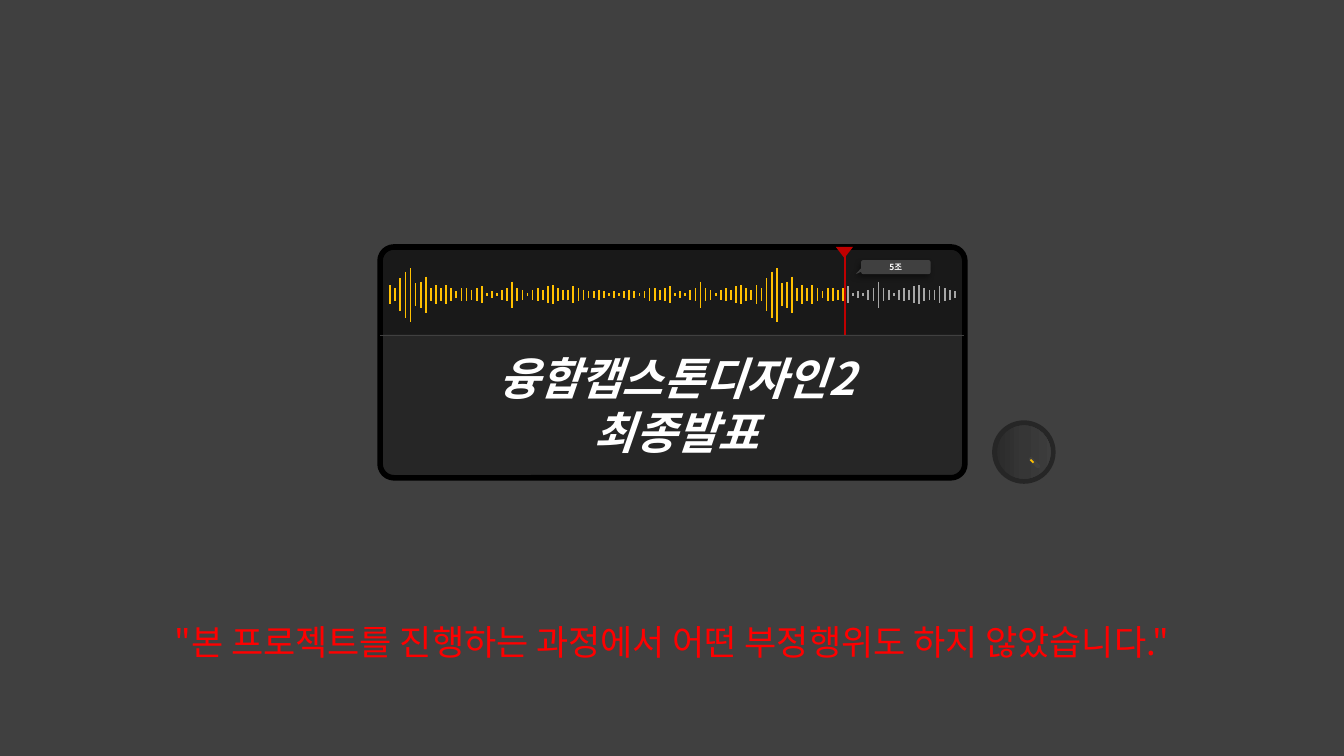
from lxml import etree
from pptx import Presentation
from pptx.dml.color import RGBColor
from pptx.enum.shapes import MSO_CONNECTOR, MSO_SHAPE
from pptx.enum.text import MSO_ANCHOR, PP_ALIGN
from pptx.oxml import parse_xml
from pptx.oxml.ns import qn
from pptx.util import Inches, Pt

STRAIGHT = MSO_CONNECTOR.STRAIGHT
ROUNDED = MSO_SHAPE.ROUNDED_RECTANGLE
ROUNDED_TOP = MSO_SHAPE.ROUND_2_SAME_RECTANGLE
TRIANGLE = MSO_SHAPE.ISOSCELES_TRIANGLE
CALLOUT = MSO_SHAPE.ROUNDED_RECTANGULAR_CALLOUT
OVAL = MSO_SHAPE.OVAL
CENTER = PP_ALIGN.CENTER
MIDDLE = MSO_ANCHOR.MIDDLE

FONT = "Noto Sans CJK KR"
COLORS = {
    "gray": "404040", "panel": "262626", "knob": "363636", "black": "000000",
    "played": "FFC000", "unplayed": "A6A6A6", "marker": "C00000",
    "white": "FFFFFF", "red": "FF0000",
}
DRAWING = 'xmlns:a="http://schemas.openxmlformats.org/drawingml/2006/main"'


def add_line(shapes, start, end, color, width=1.25):
    line = shapes.add_connector(STRAIGHT, *[Inches(v) for v in (*start, *end)])
    line.line.color.rgb = RGBColor.from_string(COLORS[color])
    line.line.width = Pt(width)
    etree.SubElement(line._element.spPr, qn("a:effectLst"))


def add_filled(shapes, kind, box, color, adjustments=(), rotation=0):
    shape = shapes.add_shape(kind, *[Inches(v) for v in box])
    shape.shadow.inherit = False
    shape.fill.solid()
    shape.fill.fore_color.rgb = RGBColor.from_string(COLORS[color])
    shape.line.fill.background()
    shape.rotation = rotation
    for index, value in enumerate(adjustments):
        shape.adjustments[index] = value
    return shape


presentation = Presentation()
presentation.slide_width = Inches(13.33)
presentation.slide_height = Inches(7.5)
slide = presentation.slides.add_slide(presentation.slide_layouts[6])
slide.background.fill.solid()
slide.background.fill.fore_color.rgb = RGBColor.from_string(COLORS["gray"])

# Player panel, title box and darkened wave strip
panel = add_filled(slide.shapes, ROUNDED, (3.77, 2.45, 5.8, 2.29), "panel", [0.06])
panel.line.color.rgb = RGBColor.from_string(COLORS["black"])
panel.line.width = Pt(4)
title = slide.shapes.add_textbox(Inches(4.44), Inches(3.43), Inches(4.54), Inches(1.18))
strip = add_filled(slide.shapes, ROUNDED_TOP, (3.77, 2.45, 5.8, 0.87), "black", [0.15, 0])
strip_color = strip._element.spPr.find(qn("a:solidFill"))[0]
etree.SubElement(strip_color, qn("a:alpha"), val="32000")

# Sound wave: bar heights in hundredths of an inch, built from repeated motifs
attack = [19, 13, 33, 46, 53, 23, 26, 36, 13, 19, 13]
decay = [19, 13, 7, 13, 13, 10, 13, 17, 3, 7, 3]
swell = [10, 13, 26, 13, 10, 3, 10, 13, 10, 17, 19]
fade = [13, 10, 10, 17, 13, 10, 7, 7, 10, 7, 3]
wave = (attack + decay + swell + fade + [7, 3, 7, 10] + [7, 3] + decay[2:]
        + swell + fade[:2] + attack + decay + swell + fade[:7])
WAVE_LEFT, WAVE_MIDDLE, BAR_STEP, PLAYED_BARS = 3.87, 2.925, 5.6 / 111, 90
wave_group = slide.shapes.add_group_shape()
for index, height in enumerate(wave):
    x = WAVE_LEFT + index * BAR_STEP
    half = height / 200
    color = "played" if index < PLAYED_BARS else "unplayed"
    add_line(wave_group.shapes, (x, WAVE_MIDDLE - half), (x, WAVE_MIDDLE + half), color)

# Playhead with its label
playhead = slide.shapes.add_group_shape()
add_line(playhead.shapes, (8.38, 2.46), (8.38, 3.33), "marker")
add_filled(playhead.shapes, TRIANGLE, (8.29, 2.45, 0.17, 0.11), "marker", rotation=180)
label = add_filled(playhead.shapes, CALLOUT, (8.54, 2.58, 0.69, 0.14), "gray",
                   [-0.578, 0.505, 0.167])
label_effects = label._element.spPr.find(qn("a:effectLst"))
label_effects.append(parse_xml(
    f'<a:outerShdw {DRAWING} blurRad="{Pt(4)}" dist="{Pt(3)}" dir="7200000">'
    f'<a:srgbClr val="{COLORS["black"]}"><a:alpha val="40000"/></a:srgbClr></a:outerShdw>'))

# Divider
add_line(slide.shapes, (3.77, 3.33), (9.56, 3.33), "gray", 0.75)

# Volume knob
add_filled(slide.shapes, OVAL, (9.84, 4.17, 0.63, 0.63), "panel")
knob = slide.shapes.add_group_shape()
dial = add_filled(knob.shapes, OVAL, (9.89, 4.22, 0.53, 0.53), "knob", rotation=135)
stops = "".join(
    f'<a:gs pos="{position}000"><a:srgbClr val="{COLORS[name]}"/></a:gs>'
    for position, name in ((0, "panel"), (50, "knob"), (100, "gray")))
dial_properties = dial._element.spPr
dial_properties.replace(dial_properties.find(qn("a:solidFill")), parse_xml(
    f'<a:gradFill {DRAWING} rotWithShape="1"><a:gsLst>{stops}</a:gsLst>'
    '<a:lin ang="13500000" scaled="1"/></a:gradFill>'))
add_filled(knob.shapes, ROUNDED, (10.24, 4.52, 0.04, 0.14), "gray", [0.5], 135)
add_line(knob.shapes, (10.25, 4.59), (10.22, 4.56), "played")

# Texts
pledge = slide.shapes.add_textbox(Inches(1.45), Inches(6.11), Inches(10.43), Inches(0.52))
label.text_frame.vertical_anchor = MIDDLE
texts = [
    (title, True, ["융합캡스톤디자인2", "최종발표"], "white",
     {"size": Pt(32), "bold": True, "italic": True}),
    (label, False, ["5조"], "white", {"size": Pt(6), "bold": True}),
    (pledge, True, ["\"본 프로젝트를 진행하는 과정에서 어떤 부정행위도 하지 않았습니다.\""],
     "red", {"size": Pt(25)}),
]
for shape, wrap, lines, color, font_format in texts:
    frame = shape.text_frame
    frame.word_wrap = wrap
    for index, text in enumerate(lines):
        paragraph = frame.paragraphs[0] if index == 0 else frame.add_paragraph()
        paragraph.alignment = CENTER
        run = paragraph.add_run()
        run.text = text
        run.font.name = FONT
        run.font.color.rgb = RGBColor.from_string(COLORS[color])
        for name, value in font_format.items():
            setattr(run.font, name, value)
        etree.SubElement(run.font._element, qn("a:ea"), typeface=FONT)

presentation.save("out.pptx")
